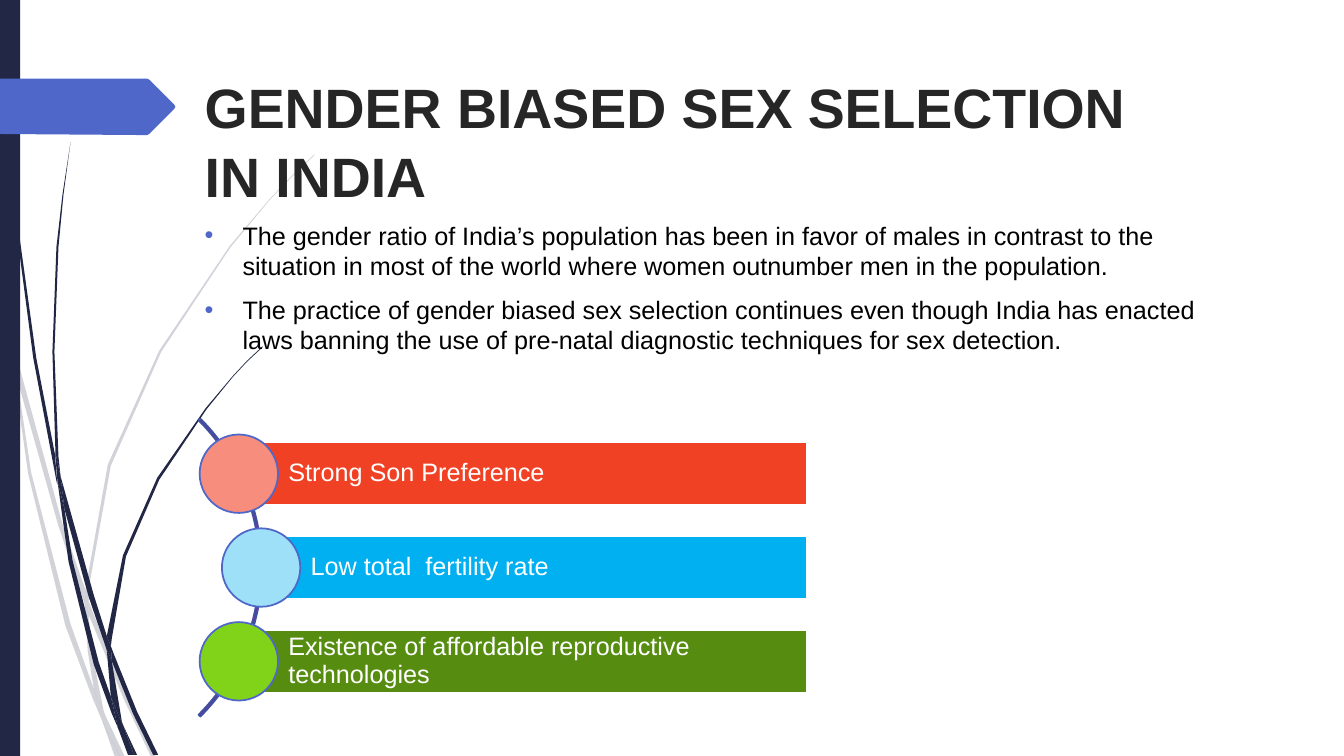
from lxml import etree
from pptx import Presentation
from pptx.dml.color import RGBColor
from pptx.enum.shapes import MSO_SHAPE
from pptx.enum.text import MSO_ANCHOR, MSO_AUTO_SIZE, PP_ALIGN
from pptx.oxml.ns import qn
from pptx.util import Pt

RECTANGLE, OVAL, ARC = MSO_SHAPE.RECTANGLE, MSO_SHAPE.OVAL, MSO_SHAPE.BLOCK_ARC
TOP, MIDDLE = MSO_ANCHOR.TOP, MSO_ANCHOR.MIDDLE
LEFT = PP_ALIGN.LEFT
NO_FIT = MSO_AUTO_SIZE.NONE
NAVY, BLUE, WHITE = "212745", "4E67C8", "FFFFFF"
GRID = Pt(0.72)  # outline coordinates are hundredths of an inch

PALE_STRANDS = [
    [(11, 350), (9, 322), (0, 282), (0, 299), (10, 344)],
    [(58, 522), (84, 599), (85, 586), (62, 520), (14, 345), (17, 376)],
    [(92, 607), (88, 596), (88, 610), (123, 694), (150, 751), (155, 751), (127, 692)],
    [(119, 751), (124, 751), (105, 711)],
    [(93, 683), (70, 619), (31, 469), (17, 376), (11, 350), (28, 470), (65, 621),
     (92, 693), (101, 714), (99, 707)],
    [(84, 599), (87, 646), (93, 683), (96, 692), (105, 711), (103, 706), (91, 646),
     (88, 610), (88, 608)],
    [(88, 584), (110, 462), (160, 349), (229, 245), (268, 198), (290, 175), (312, 154),
     (312, 153), (289, 175), (268, 197), (228, 244), (158, 348), (107, 461), (85, 584),
     (85, 586), (88, 596)],
    [(101, 714), (114, 751), (119, 751)],
    [(88, 608), (88, 610), (88, 596), (85, 586), (84, 599)],
    [(96, 692), (93, 683), (99, 707), (101, 714), (119, 751), (105, 711)],
]
DARK_STRANDS = [
    [(7, 110), (17, 233), (33, 355), (56, 477), (57, 481), (55, 457), (55, 453),
     (36, 355), (19, 232), (8, 109), (5, 48), (4, 0), (3, 0), (4, 48)],
    [(88, 592), (106, 645), (106, 631), (93, 590), (60, 472), (64, 505)],
    [(113, 649), (110, 641), (111, 656), (132, 708), (152, 749), (157, 749), (136, 706)],
    [(110, 691), (98, 657), (72, 556), (64, 505), (57, 477), (68, 557), (93, 659),
     (111, 708), (117, 722), (116, 717)],
    [(60, 472), (58, 453), (54, 349), (58, 245), (63, 193), (70, 141), (69.5, 141),
     (62, 193), (56, 245), (52, 349), (55, 449)],
    [(133, 749), (136, 749), (122, 719)],
    [(57, 477), (64, 505), (60, 472), (55, 449), (55, 453)],
    [(111, 633), (125, 552), (158, 476), (205, 406), (231, 374), (245, 359), (261, 344),
     (260, 344), (245, 358), (231, 373), (204, 405), (156, 474), (122, 551), (106, 631),
     (110, 641)],
    [(117, 722), (127, 749), (131, 749)],
    [(106, 645), (110, 691), (116, 706), (122, 719), (121, 716), (111, 656), (109, 651)],
    [(106, 645), (109, 651), (111, 656), (110, 641), (106, 631)],
    [(116, 706), (110, 691), (116, 717), (117, 722), (130, 749), (133, 749), (122, 719)],
]
PAGE_MARKER = [(173, 108), (148, 133), (146, 134), (136, 134), (0, 133), (0, 78),
               (146, 78), (148, 79), (173, 104), (174, 106)]


def color(hex_text):
    return RGBColor.from_string(hex_text)


def paint(shape, fill, line=None):
    """Give a shape a flat fill, and an outline only when a line colour is given."""
    shape.shadow.inherit = False
    shape.fill.solid()
    shape.fill.fore_color.rgb = color(fill)
    if line:
        shape.line.color.rgb = color(line)
        shape.line.width = Pt(1.25)
    else:
        shape.line.fill.background()


deck = Presentation()
deck.slide_width, deck.slide_height = Pt(960), Pt(540)
page = deck.slides.add_slide(deck.slide_layouts[1])
shapes = page.shapes
title, body = page.placeholders

# Decoration at the left edge
side_bar = shapes.add_shape(RECTANGLE, 0, 0, Pt(14.4), Pt(540))
paint(side_bar, NAVY)
for outlines, fill, alpha in ((PALE_STRANDS, NAVY, 20), (DARK_STRANDS, NAVY, 100),
                              ([PAGE_MARKER], BLUE, 100)):
    for outline in outlines:
        builder = shapes.build_freeform(*outline[0], scale=GRID)
        builder.add_line_segments(outline[1:], close=True)
        strand = builder.convert_to_shape()
        paint(strand, fill)
        if alpha < 100:
            tint = strand.element.spPr.find(".//" + qn("a:srgbClr"))
            etree.SubElement(tint, qn("a:alpha")).set("val", str(alpha * 1000))
    if outlines is DARK_STRANDS:
        shapes.element.append(side_bar.element)  # the bar covers the strands

# Title and bullets, in front of the decoration
for holder, left, top, width, height in ((title, 139, 46, 702, 94.4),
                                         (body, 139, 153.4, 730, 128)):
    shapes.element.append(holder.element)
    holder.left, holder.top, holder.width, holder.height = map(Pt, (left, top, width, height))
    holder.text_frame.auto_size = NO_FIT
    holder.text_frame.vertical_anchor = TOP

title.text_frame.text = "GENDER BIASED SEX SELECTION IN INDIA"
heading = title.text_frame.paragraphs[0]
heading.alignment = LEFT
heading.line_spacing = 1.05
heading.font.name, heading.font.size, heading.font.bold = "Arial", Pt(39.6), True
heading.font.color.rgb = color("262626")

body.text_frame.text = (
    "The gender ratio of India’s population has been in favor of males in contrast to the "
    "situation in most of the world where women outnumber men in the population.\n"
    "The practice of gender biased sex selection continues even though India has enacted "
    "laws banning the use of pre-natal diagnostic techniques for sex detection.")
for para in body.text_frame.paragraphs:
    para.space_before = Pt(10)
    para.font.name, para.font.size = "Arial", Pt(18)
    para.font.color.rgb = color("000000")
    properties = para._p.get_or_add_pPr()
    properties.set("marL", str(Pt(27)))
    properties.set("indent", str(-Pt(27)))
    bullet_color = etree.Element(qn("a:buClr"))
    etree.SubElement(bullet_color, qn("a:srgbClr")).set("val", BLUE)
    bullet = etree.Element(qn("a:buChar"))
    bullet.set("char", "•")
    properties.find(qn("a:spcBef")).addnext(bullet_color)
    bullet_color.addnext(bullet)

# Curved list of causes
arc = shapes.add_shape(ARC, Pt(-113.8), Pt(254.9), Pt(301), Pt(301))
arc.adjustments[0], arc.adjustments[1], arc.adjustments[2] = 189, 27, 0.006
paint(arc, "7030A0", "3E52A0")

CAUSES = [
    ("Strong Son Preference", 170.6, "F14124", "F78D7C"),
    ("Low total  fertility rate", 186.5, "00B0F0", "9EE0F8"),
    ("Existence of affordable reproductive technologies", 170.6, "568D11", "81D31A"),
]
BAR_RIGHT, BAR_HEIGHT, DISC = 576.7, 44.6, 56
for row, (cause, left, bar_fill, disc_fill) in enumerate(CAUSES):
    middle = 338.4 + 67 * row
    bar = shapes.add_shape(RECTANGLE, Pt(left), Pt(middle - BAR_HEIGHT / 2),
                           Pt(BAR_RIGHT - left), Pt(BAR_HEIGHT))
    paint(bar, bar_fill, WHITE)
    frame = bar.text_frame
    frame.word_wrap = True
    frame.vertical_anchor = MIDDLE
    frame.margin_left = Pt(35.4)
    frame.margin_right = frame.margin_top = frame.margin_bottom = Pt(3.6)
    frame.text = cause
    para = frame.paragraphs[0]
    para.alignment = LEFT
    para.line_spacing = 0.9
    para.font.name, para.font.size = "Arial", Pt(18)
    para.font.color.rgb = color(WHITE)
    disc = shapes.add_shape(OVAL, Pt(left - DISC / 2), Pt(middle - DISC / 2), Pt(DISC), Pt(DISC))
    paint(disc, disc_fill, BLUE)

deck.save("out.pptx")
